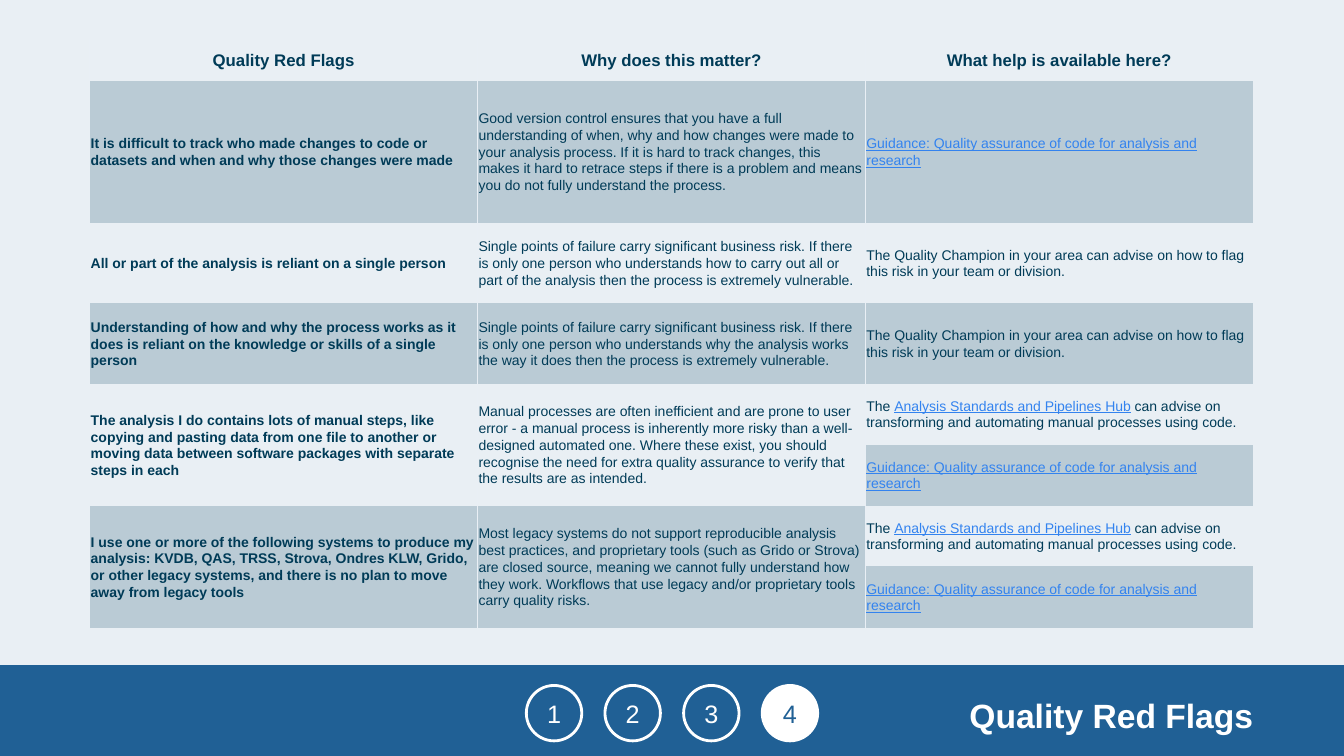
from lxml import etree
from pptx import Presentation
from pptx import util as u
from pptx.dml.color import RGBColor
from pptx.enum import shapes, text
from pptx.oxml.ns import qn

BLUE, NAVY, LINK, WHITE = "206095", "003B57", "3383EF", "FFFFFF"
PALE, BAND, RULE = "E9EFF4", "BACBD5", "E9EFF5"
NO_STYLE = "{2D5ABB26-0587-4C30-8999-92F81FD0307C}"
LEFT, CENTRE, RIGHT = text.PP_ALIGN.LEFT, text.PP_ALIGN.CENTER, text.PP_ALIGN.RIGHT
MIDDLE = text.MSO_ANCHOR.MIDDLE


def rgb(value):
    """Return the colour for a hex string."""
    return RGBColor.from_string(value)


def assign(target, values):
    """Set attributes of target from a dict."""
    for name, value in values.items():
        setattr(target, name, value)


def paint(fill, color):
    """Fill with a solid colour, or with nothing when color is None."""
    if color is None:
        fill.background()
    else:
        fill.solid()
        fill.fore_color.rgb = rgb(color)


class Deck:
    """Style and current slide, with a method for each kind of element."""

    font = "Arial"
    cell = {"margin_left": u.Inches(0.01), "margin_right": u.Inches(0.01),
            "margin_top": 0, "margin_bottom": 0, "vertical_anchor": MIDDLE}
    para = {"line_spacing": 1.07, "space_after": u.Pt(8)}

    def __init__(self, s):
        """Keep the slide and paint its background."""
        self.s = s
        paint(s.background.fill, PALE)

    def run(self, p, words, size, color, bold=False, underline=None):
        """Add one formatted run to a paragraph."""
        r = p.add_run()
        r.text = words
        assign(r.font, {"name": self.font, "size": u.Pt(size), "bold": bold, "underline": underline})
        r.font.color.rgb = rgb(color)

    def shape(self, kind, box, fill=None, line=None):
        """Add a preset shape without shadow."""
        sp = self.s.shapes.add_shape(kind, *map(u.Inches, box))
        sp.shadow.inherit = False
        paint(sp.fill, fill)
        paint(sp.line.fill, line)
        return sp

    def badge(self, box, label, fill, color):
        """Add a numbered circle."""
        sp = self.shape(shapes.MSO_SHAPE.OVAL, box, fill, WHITE)
        sp.line.width = u.Pt(2)
        tf = sp.text_frame
        assign(tf, {**dict.fromkeys(("margin_left", "margin_right"), 0), "vertical_anchor": MIDDLE})
        tf.paragraphs[0].alignment = CENTRE
        self.run(tf.paragraphs[0], label, 18, color)

    def title(self, box, words):
        """Add the right-aligned slide title."""
        tf = self.s.shapes.add_textbox(*map(u.Inches, box)).text_frame
        assign(tf, {"word_wrap": True, "margin_right": 0})
        tf.paragraphs[0].alignment = RIGHT
        self.run(tf.paragraphs[0], words, 24, WHITE, True)

    def rule(self, cell, side):
        """Draw a thin line on one side of a cell."""
        ln = etree.Element(qn(f"a:{side}"), w=str(u.Pt(1)))
        fill = etree.SubElement(ln, qn("a:solidFill"))
        etree.SubElement(fill, qn("a:srgbClr"), val=RULE)
        cell._tc.get_or_add_tcPr().insert(0, ln)

    def fill_cell(self, cell, parts, size, bold, align):
        """Write plain and link parts, which alternate, into a cell."""
        p = cell.text_frame.paragraphs[0]
        assign(p, {**self.para, "alignment": align})
        for i, words in enumerate(parts):
            if words:
                link = i % 2 == 1
                self.run(p, words, size, LINK if link else NAVY, bold, link or None)

    def table(self, box, heights, rows, banded, merged):
        """Add the table; merged rows share their first two cells with the next row."""
        cols = len(rows[0])
        gf = self.s.shapes.add_table(len(rows), cols, *map(u.Inches, box))
        gf.element.xpath(".//a:tableStyleId")[0].text = NO_STYLE
        tbl = gf.table
        assign(tbl, {"first_row": False, "horz_banding": False})
        for row, height in zip(tbl.rows, heights):
            row.height = u.Inches(height)
        for y, row in enumerate(rows):
            for x, parts in enumerate(row):
                cell = tbl.cell(y, x)
                assign(cell, self.cell)
                paint(cell.fill, BAND if x in banded.get(y, ()) else None)
                if x < cols - 1:
                    self.rule(cell, "lnR")
                if x or y == 0:
                    self.rule(cell, "lnL")
                if parts:
                    head = y == 0
                    self.fill_cell(cell, parts, 12 if head else 10, head or x == 0,
                                   CENTRE if head else LEFT)
        for y in merged:
            for x in range(cols - 1):
                tbl.cell(y, x).merge(tbl.cell(y + 1, x))


GUIDANCE = ["", "Guidance: Quality assurance of code for analysis and research"]
CHAMPION = ["The Quality Champion in your area can advise on how to flag this risk in your team or division."]
HUB = ["The ", "Analysis Standards and Pipelines Hub",
       " can advise on transforming and automating manual processes using code."]
SINGLE = ("Single points of failure carry significant business risk. If there is only one person "
          "who understands {} then the process is extremely vulnerable.")
ROWS = [
    [["Quality Red Flags"], ["Why does this matter?"], ["What help is available here?"]],
    [["It is difficult to track who made changes to code or datasets and when and why those "
      "changes were made"],
     ["Good version control ensures that you have a full understanding of when, why and how "
      "changes were made to your analysis process. If it is hard to track changes, this makes it "
      "hard to retrace steps if there is a problem and means you do not fully understand the process."],
     GUIDANCE],
    [["All or part of the analysis is reliant on a single person"],
     [SINGLE.format("how to carry out all or part of the analysis")], CHAMPION],
    [["Understanding of how and why the process works as it does is reliant on the knowledge or "
      "skills of a single person"],
     [SINGLE.format("why the analysis works the way it does")], CHAMPION],
    [["The analysis I do contains lots of manual steps, like copying and pasting data from one "
      "file to another or moving data between software packages with separate steps in each"],
     ["Manual processes are often inefficient and are prone to user error - a manual process is "
      "inherently more risky than a well-designed automated one. Where these exist, you should "
      "recognise the need for extra quality assurance to verify that the results are as intended."],
     HUB],
    [None, None, GUIDANCE],
    [["I use one or more of the following systems to produce my analysis: KVDB, QAS, TRSS, Strova, "
      "Ondres KLW, Grido, or other legacy systems, and there is no plan to move away from legacy tools"],
     ["Most legacy systems do not support reproducible analysis best practices, and proprietary "
      "tools (such as Grido or Strova) are closed source, meaning we cannot fully understand how "
      "they work. Workflows that use legacy and/or proprietary tools carry quality risks."],
     HUB],
    [None, None, GUIDANCE],
]
HEIGHTS = [0.41, 1.41, 0.8, 0.8, 0.6, 0.61, 0.6, 0.61]
BANDED = {1: (0, 1, 2), 3: (0, 1, 2), 5: (2,), 6: (0, 1), 7: (0, 1, 2)}

prs = Presentation()
assign(prs, {"slide_width": u.Inches(13.33), "slide_height": u.Inches(7.5)})
deck = Deck(prs.slides.add_slide(prs.slide_layouts[6]))
deck.shape(shapes.MSO_SHAPE.RECTANGLE, (0, 6.6, 13.33, 0.9), BLUE)
deck.title((8.23, 6.84, 4.2, 0.4), "Quality Red Flags")
deck.table((0.89, 0.39, 11.54, sum(HEIGHTS)), HEIGHTS, ROWS, BANDED, (4, 6))
STEPS, CURRENT = 4, 4
for n in range(STEPS):
    active = n + 1 == CURRENT
    deck.badge((5.22 + 0.78 * n, 6.8, 0.55, 0.55), str(n + 1),
               WHITE if active else None, BLUE if active else WHITE)
prs.save("out.pptx")
